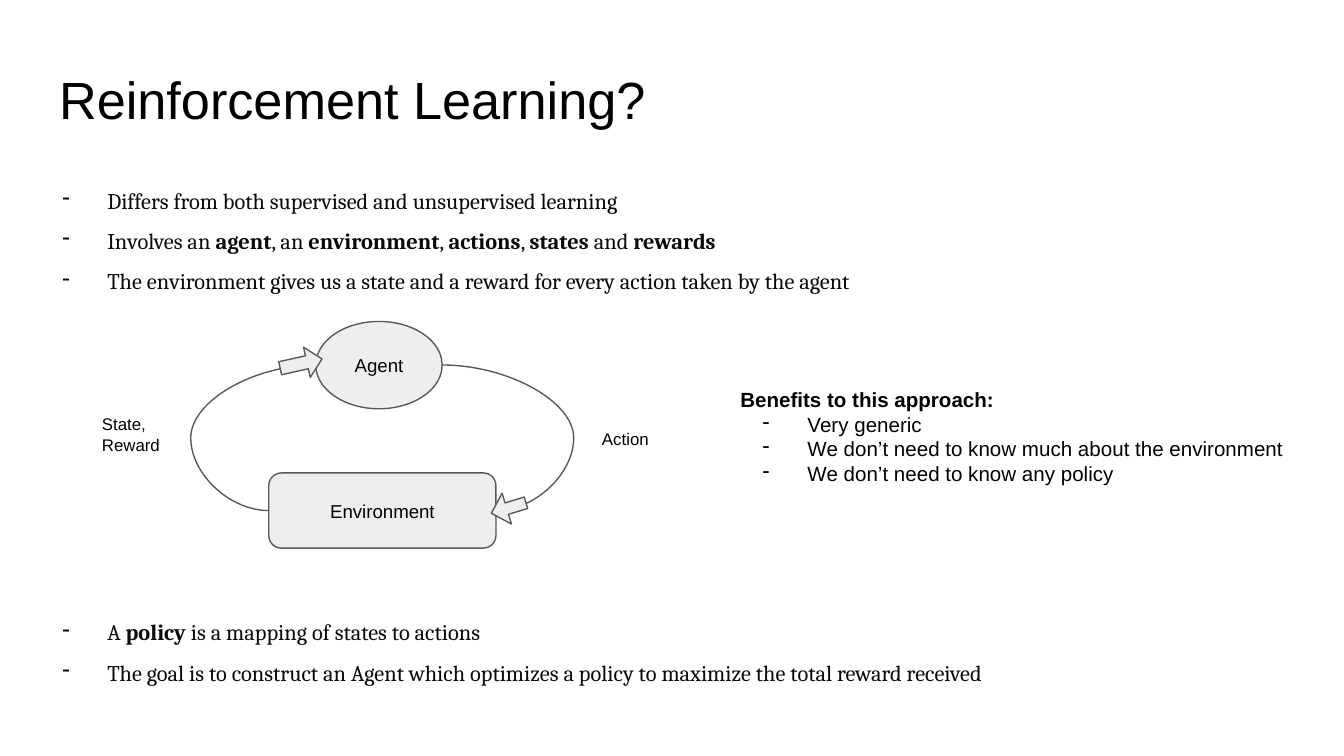
import pptx
import pptx.dml.color
import pptx.enum.shapes
import pptx.enum.text
import pptx.oxml.ns
import pptx.util
from lxml import etree

Pt = pptx.util.Pt
SHAPE = pptx.enum.shapes.MSO_SHAPE
ALIGN = pptx.enum.text.PP_ALIGN
ANCHOR = pptx.enum.text.MSO_ANCHOR

THEME = {
    "sans": "Arial", "serif": "Cambria",
    "black": "000000", "ink": "0A0A0A", "fill": "EEEEEE", "line": "595959",
    "title": 28, "body": 12, "benefits": 11, "node": 10, "label": 9,
    "stroke": 0.75, "inset": 7.2, "indent": 36, "hanging": 24,
}

# Text between asterisks is bold.
TITLE = "Reinforcement Learning?"
POINTS = [
    "Differs from both supervised and unsupervised learning",
    "Involves an *agent*, an *environment*, *actions*, *states *and *rewards*",
    "The environment gives us a state and a reward for every action taken by the agent",
]
GOALS = [
    "A *policy *is a mapping of states to actions",
    "The goal is to construct an Agent which optimizes a policy to maximize the total reward received",
]
DIAGRAM_GAP = 166.4
BENEFITS_HEADING = "*Benefits to this approach:*"
BENEFITS = [
    "Very generic",
    "We don’t need to know much about the environment",
    "We don’t need to know any policy",
]

# Boxes are left, top, width, height.
TITLE_BOX = (24.5, 28.8, 365.8, 45.4)
BODY_BOX = (14.4, 85.7, 671, 281.5)
BENEFITS_BOX = (389.5, 200.2, 312.5, 90)
AGENT = ("Agent", SHAPE.OVAL, (169.2, 172.2, 67.7, 46.8))
ENVIRONMENT = ("Environment", SHAPE.ROUNDED_RECTANGLE, (144, 253.4, 121.7, 40.3))
LABELS = [
    (["Action"], (315.4, 222.5, 71.3, 18.7)),
    (["State,", "Reward"], (47.5, 214.6, 71.3, 18.7)),
]
LOOP_EDGES = {"action": 307.4, "state": 102.2}
ARROWHEADS = [  # box, rotation, shaft thickness
    ((149.8, 186.5, 23, 16.6), 347.4, 0.43),
    ((262.8, 263.5, 19.4, 17.3), 163.1, 0.37),
]


def color(name):
    return pptx.dml.color.RGBColor.from_string(THEME[name])


def points(box):
    return [Pt(value) for value in box]


def prepare_frame(frame, anchor=ANCHOR.TOP):
    frame.word_wrap = True
    frame.auto_size = pptx.enum.text.MSO_AUTO_SIZE.NONE
    frame.vertical_anchor = anchor
    frame.margin_left = frame.margin_right = Pt(THEME["inset"])
    frame.margin_top = frame.margin_bottom = Pt(THEME["inset"])


def write_para(para, text, size, font="sans", ink="black", align=ALIGN.LEFT):
    para.alignment = align
    for index, part in enumerate(text.split("*")):
        if part:
            span = para.add_run()
            span.text = part
            span.font.name = THEME[font]
            span.font.size = Pt(THEME[size])
            span.font.color.rgb = color(ink)
            span.font.bold = index % 2 == 1


def add_dash(para):
    properties = para._p.get_or_add_pPr()
    properties.set("marL", str(Pt(THEME["indent"])))
    properties.set("indent", str(-Pt(THEME["hanging"])))
    bullet = etree.SubElement(properties, pptx.oxml.ns.qn("a:buChar"))
    bullet.set("char", "-")


def add_text(page, box, lines, size, font="sans", ink="black"):
    frame = page.shapes.add_textbox(*points(box)).text_frame
    prepare_frame(frame)
    for index, line in enumerate(lines):
        para = frame.add_paragraph() if index else frame.paragraphs[0]
        write_para(para, line, size, font, ink)
    return frame.paragraphs


def add_outlined(page, kind, box):
    shape = page.shapes.add_shape(kind, *points(box))
    shape.shadow.inherit = False
    shape.fill.solid()
    shape.fill.fore_color.rgb = color("fill")
    shape.line.color.rgb = color("line")
    shape.line.width = Pt(THEME["stroke"])
    return shape


def add_node(page, text, kind, box):
    node = add_outlined(page, kind, box)
    prepare_frame(node.text_frame, ANCHOR.MIDDLE)
    write_para(node.text_frame.paragraphs[0], text, "node", align=ALIGN.CENTER)


def side(box, right):
    """Middle of the right or left side of a box."""
    left, top, width, height = box
    return left + width * right, top + height / 2


def add_loop(page, start, end, edge):
    """Curve from start to end that bulges out to the x position edge."""
    curve = page.shapes.add_connector(
        pptx.enum.shapes.MSO_CONNECTOR.CURVE, *points(start + end))
    curve.line.color.rgb = color("line")
    curve.line.width = Pt(THEME["stroke"])
    properties = curve._element.spPr
    etree.SubElement(properties, pptx.oxml.ns.qn("a:effectLst"))
    bulge = round((edge - start[0]) / (end[0] - start[0]) * 100000)
    guides = properties.find(pptx.oxml.ns.qn("a:prstGeom")).get_or_add_avLst()
    etree.SubElement(guides, pptx.oxml.ns.qn("a:gd"), name="adj1", fmla=f"val {bulge}")


def main():
    deck = pptx.Presentation()
    deck.slide_width, deck.slide_height = Pt(720), Pt(405)
    page = deck.slides.add_slide(deck.slide_layouts[5])

    title = page.shapes.title
    title.left, title.top, title.width, title.height = points(TITLE_BOX)
    prepare_frame(title.text_frame)
    write_para(title.text_frame.paragraphs[0], TITLE, "title")

    body = add_text(page, BODY_BOX, POINTS + GOALS, "body", "serif", "ink")
    for para in body:
        add_dash(para)
        para.line_spacing = 1.5
    body[len(POINTS)].space_before = Pt(DIAGRAM_GAP)

    add_node(page, *AGENT)
    add_node(page, *ENVIRONMENT)
    agent_box, environment_box = AGENT[2], ENVIRONMENT[2]
    add_loop(page, side(environment_box, True), side(agent_box, True), LOOP_EDGES["action"])
    add_loop(page, side(agent_box, False), side(environment_box, False), LOOP_EDGES["state"])
    for lines, box in LABELS:
        add_text(page, box, lines, "label")
    for box, rotation, thickness in ARROWHEADS:
        arrow = add_outlined(page, SHAPE.RIGHT_ARROW, box)
        arrow.rotation = rotation
        arrow.adjustments[0] = thickness

    benefits = add_text(page, BENEFITS_BOX, [BENEFITS_HEADING] + BENEFITS, "benefits")
    for para in benefits[1:]:
        add_dash(para)

    deck.save("out.pptx")


if __name__ == "__main__":
    main()
